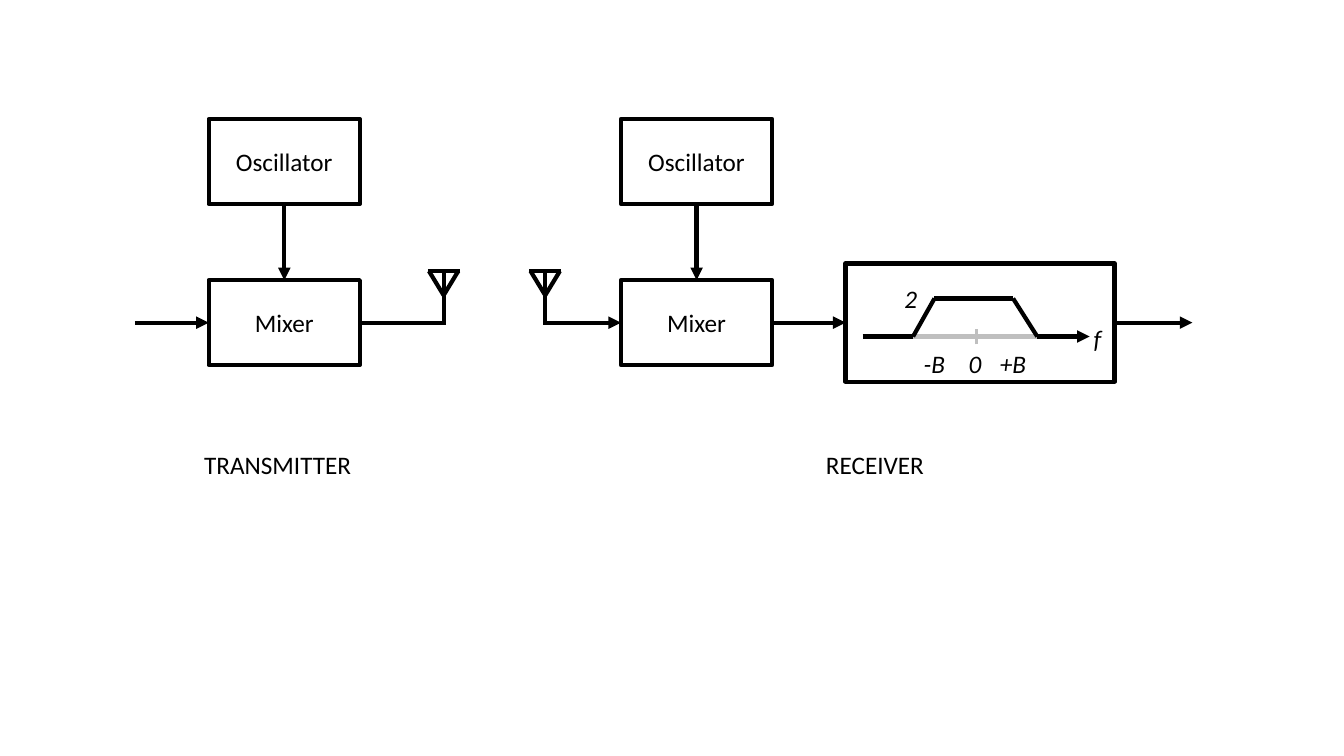
from itertools import pairwise

from lxml.etree import SubElement
from pptx import Presentation
from pptx.dml.color import RGBColor
from pptx.enum.shapes import MSO_CONNECTOR, MSO_SHAPE
from pptx.enum.text import MSO_ANCHOR, PP_ALIGN
from pptx.oxml.ns import qn
from pptx.util import Cm, Pt

BLACK, GREY = "000000", "BFBFBF"
TOP, LEFT, BOTTOM, RIGHT = range(4)
BLOCK_WIDTH, BLOCK_HEIGHT = 3.81, 2.14
SIGNAL_Y = 8.13  # height of the signal path through both chains
OSCILLATOR_TOP = 3.0


def color(hex_string):
    return RGBColor.from_string(hex_string)


def write(shape, text, italic=False):
    frame = shape.text_frame
    frame.word_wrap = False
    frame.vertical_anchor = MSO_ANCHOR.MIDDLE
    para = frame.paragraphs[0]
    para.alignment = PP_ALIGN.CENTER
    span = para.add_run()
    span.text = text
    for name, value in {"name": "Calibri", "size": Pt(18), "italic": italic}.items():
        setattr(span.font, name, value)
    span.font.color.rgb = color(BLACK)


def add_label(page, text, center_x, center_y, width, italic=False):
    height = 1.02
    box = page.shapes.add_textbox(
        Cm(center_x - width / 2), Cm(center_y - height / 2), Cm(width), Cm(height))
    write(box, text, italic)


def add_block(page, left, top, width, height, text=None):
    block = page.shapes.add_shape(
        MSO_SHAPE.RECTANGLE, Cm(left), Cm(top), Cm(width), Cm(height))
    block.shadow.inherit = False
    block.fill.background()
    block.line.color.rgb = color(BLACK)
    block.line.width = Pt(3)
    if text:
        write(block, text)
    return block


def add_line(page, start, end, arrow=False, hex_color=BLACK, width=3):
    """Draw a line; each end is an (x, y) point or a (block, side) pair."""
    points = [(0, 0) if hasattr(tip[0], "shape_id") else tip for tip in (start, end)]
    line = page.shapes.add_connector(
        MSO_CONNECTOR.STRAIGHT, *(Cm(value) for point in points for value in point))
    line.line.color.rgb = color(hex_color)
    line.line.width = Pt(width)
    if arrow:
        SubElement(line.line._get_or_add_ln(), qn("a:tailEnd"), type="triangle")
    SubElement(line._element.spPr, qn("a:effectLst"))
    for tip, connect in ((start, line.begin_connect), (end, line.end_connect)):
        if hasattr(tip[0], "shape_id"):
            connect(*tip)


def add_antenna(page, mast_x):
    top, fork, half_width = SIGNAL_Y - 1.3, SIGNAL_Y - 0.69, 0.37
    left_tip, right_tip = (mast_x - half_width, top), (mast_x + half_width, top)
    add_line(page, (mast_x, top), (mast_x, SIGNAL_Y))
    for tip in (left_tip, right_tip):
        add_line(page, tip, (mast_x, fork))
    add_line(page, (mast_x - 0.4, top), (mast_x + 0.4, top))


def add_mixing_stage(page, left):
    """Draw an oscillator that feeds a mixer, and return the mixer."""
    oscillator = add_block(
        page, left, OSCILLATOR_TOP, BLOCK_WIDTH, BLOCK_HEIGHT, "Oscillator")
    mixer = add_block(
        page, left, SIGNAL_Y - BLOCK_HEIGHT / 2, BLOCK_WIDTH, BLOCK_HEIGHT, "Mixer")
    add_line(page, (oscillator, BOTTOM), (mixer, TOP), arrow=True)
    return mixer


def add_filter(page, left, width, height):
    """Draw the low-pass filter with its frequency response, and return its block."""
    top = SIGNAL_Y - height / 2
    block = add_block(page, left, top, width, height)

    def at(x, y):
        return left + x, top + y

    axis_y, gain_y, center_x = 1.84, 0.88, 3.3
    response = [at(1.7, axis_y), at(2.24, gain_y), at(4.22, gain_y), at(4.83, axis_y)]
    add_line(page, at(0.43, axis_y), at(6.15, axis_y), arrow=True)
    add_line(page, response[0], response[-1], hex_color=GREY)
    add_line(page, at(center_x, axis_y + 0.2), at(center_x, axis_y - 0.2),
             hex_color=GREY, width=2)
    for start, end in pairwise(response):
        add_line(page, start, end)
    for text, x, y, label_width in (
        ("-B", 2.24, 2.53, 1.07), ("0", 3.26, 2.53, 0.84), ("+B", 4.22, 2.53, 1.17),
        ("f", 6.35, axis_y + 0.04, 0.71), ("2", 1.64, gain_y, 0.84),
    ):
        add_label(page, text, *at(x, y), label_width, italic=True)
    return block


def add_transmitter(page, left):
    mast_x = left + 5.92
    mixer = add_mixing_stage(page, left)
    add_line(page, (left - 1.86, SIGNAL_Y), (mixer, LEFT), arrow=True)
    add_line(page, (mixer, RIGHT), (mast_x + 0.05, SIGNAL_Y))
    add_antenna(page, mast_x)
    add_label(page, "TRANSMITTER", left + 1.74, 11.71, 4.24)


def add_receiver(page, left):
    mast_x, filter_left, filter_width = left - 1.91, left + 5.66, 6.78
    filter_right = filter_left + filter_width
    mixer = add_mixing_stage(page, left)
    add_antenna(page, mast_x)
    add_line(page, (mast_x - 0.05, SIGNAL_Y), (mixer, LEFT), arrow=True)
    low_pass = add_filter(page, filter_left, filter_width, 2.98)
    add_line(page, (mixer, RIGHT), (low_pass, LEFT), arrow=True)
    add_line(page, (low_pass, RIGHT), (filter_right + 1.96, SIGNAL_Y), arrow=True)
    add_label(page, "RECEIVER", left + 6.4, 11.71, 3)


def main():
    deck = Presentation()
    deck.slide_width, deck.slide_height = Cm(33.87), Cm(19.05)
    page = deck.slides.add_slide(deck.slide_layouts[6])
    add_transmitter(page, 5.26)
    add_receiver(page, 15.65)
    deck.save("out.pptx")


if __name__ == "__main__":
    main()
